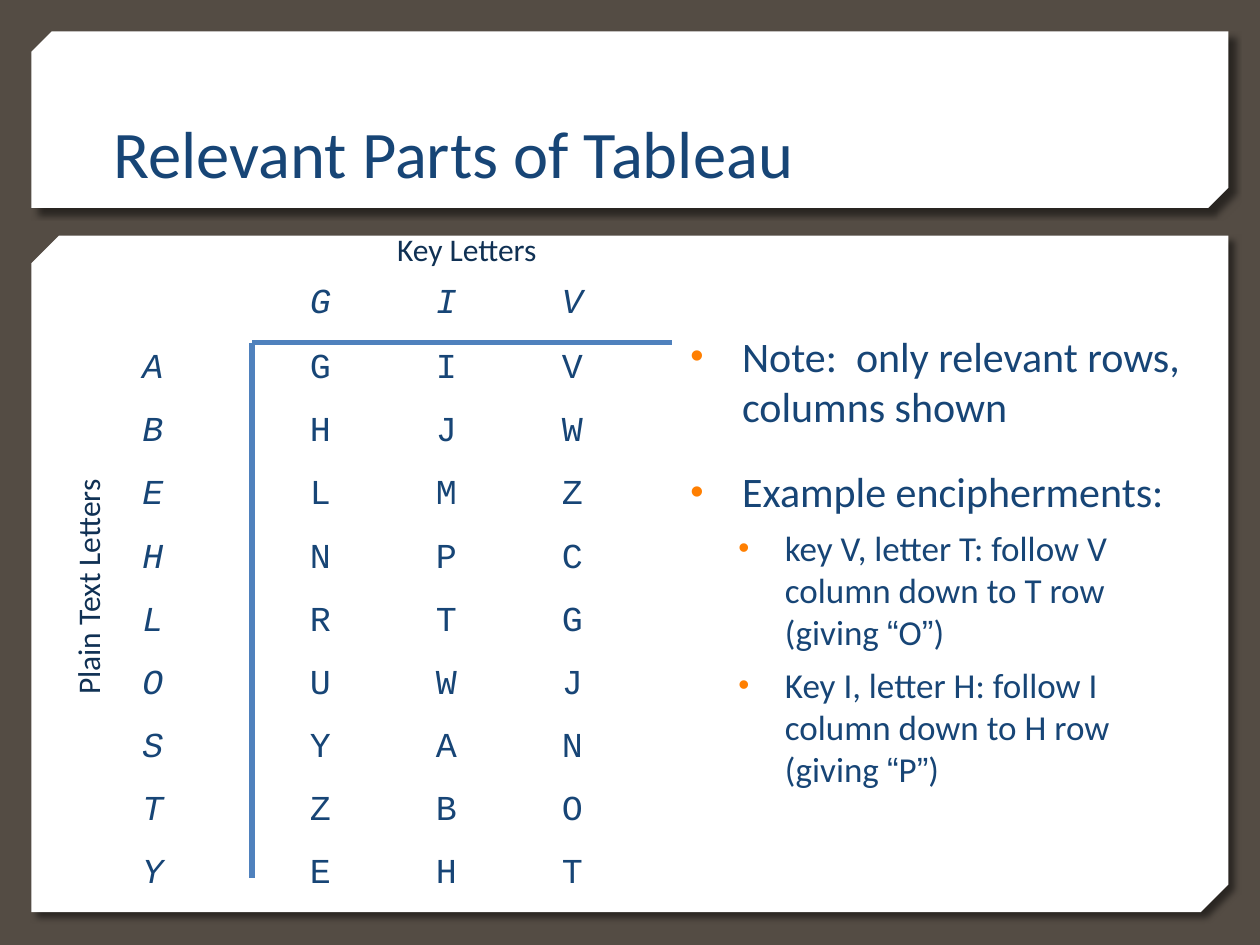
from lxml import etree
from pptx import Presentation, util as u
from pptx.dml.color import RGBColor
from pptx.enum import shapes, text
from pptx.oxml import parse_xml
from pptx.oxml.ns import nsdecls, qn

PX = 9144  # EMU per px, 100 px to the inch
NAVY, DARK_NAVY, ORANGE, BLUE = "174576", "103154", "FF7F01", "4F81BD"
hex_color = RGBColor.from_string

prs = Presentation()
prs.slide_width, prs.slide_height = 1000 * PX, 750 * PX
slide = prs.slides.add_slide(prs.slide_layouts[6])
slide.background.fill.solid()
slide.background.fill.fore_color.rgb = hex_color("544C44")


def add_frame(left, top, width, height, inset=5):
    box = slide.shapes.add_textbox(left * PX, top * PX, width * PX, height * PX)
    frame = box.text_frame
    frame.word_wrap = True
    frame.margin_left = frame.margin_right = inset * PX
    frame.margin_top = frame.margin_bottom = inset * PX
    return box, frame


def add_run(paragraph, words, size, color=NAVY, face="Calibri", italic=False):
    run = paragraph.add_run()
    run.text = words
    run.font.size = u.Pt(size)
    run.font.name = face
    run.font.italic = italic
    run.font.color.rgb = hex_color(color)


# White panels with two clipped corners
for top, bottom, cut in ((187, 724, 22), (25, 165, 16)):
    left, right = 25, 975
    outline = slide.shapes.build_freeform(left, bottom, scale=PX)
    outline.add_line_segments([
        (right - cut, bottom), (right, bottom - cut), (right, top),
        (left + cut, top), (left, top + cut),
    ])
    panel = outline.convert_to_shape()
    panel.fill.solid()
    panel.fill.fore_color.rgb = hex_color("FFFFFF")
    panel.line.fill.background()
    panel._element.spPr.append(parse_xml(
        f'<a:effectLst {nsdecls("a")}><a:outerShdw blurRad="{u.Pt(4)}" dist="{u.Pt(5)}" '
        'dir="2700000" algn="tl" rotWithShape="0"><a:srgbClr val="000000">'
        '<a:alpha val="50000"/></a:srgbClr></a:outerShdw></a:effectLst>'))

title = add_frame(85, 32, 829, 125)[1]
title.vertical_anchor = text.MSO_ANCHOR.BOTTOM
add_run(title.paragraphs[0], "Relevant Parts of Tableau", 38)

# Tableau: plain text letter, then its cipher letter under each key letter
key_letters = "GIV"
tableau_rows = {
    "A": "GIV", "B": "HJW", "E": "LMZ", "H": "NPC", "L": "RTG",
    "O": "UWJ", "S": "YAN", "T": "ZBO", "Y": "EHT",
}
tableau = add_frame(108, 220, 467, 483)[1]
for number, (plain, ciphers) in enumerate([("", key_letters), *tableau_rows.items()]):
    heading = number == 0
    row = tableau.paragraphs[0] if heading else tableau.add_paragraph()
    tabs = etree.SubElement(row._p.get_or_add_pPr(), qn("a:tabLst"))
    for column in range(len(key_letters)):
        etree.SubElement(tabs, qn("a:tab"), pos=str((133 + 100 * column) * PX), algn="l")
    row.line_spacing = 0.9 if heading else 0.67
    if not heading:
        row.space_before = u.Pt(20)
        add_run(row, plain, 20, face="Courier New", italic=True)
    add_run(row, "".join("\t" + letter for letter in ciphers), 20,
            face="Courier New", italic=heading)

# Notes: level and runs of each point, curly quotes set in Arial
points = [
    (0, ["Note:  only relevant rows, columns shown"]),
    (0, ["Example encipherments:"]),
    (1, ["key V, letter T: follow V column down to T row (giving ", "“", "O", "”", ")"]),
    (1, ["Key I, letter H: follow I column down to H row (giving ", "“", "P", "”", ")"]),
]
levels = [(41, 41, 24, 20), (75, 37, 20, 6)]  # margin, hanging, size, space before
notes = add_frame(548, 262, 400, 435, inset=0)[1]
for number, (level, parts) in enumerate(points):
    margin, hanging, size, space = levels[level]
    point = notes.add_paragraph() if number else notes.paragraphs[0]
    point.level = level
    props = point._p.get_or_add_pPr()
    props.set("marL", str(margin * PX))
    props.set("indent", str(-hanging * PX))
    bullet_color = etree.SubElement(props, qn("a:buClr"))
    etree.SubElement(bullet_color, qn("a:srgbClr"), val=ORANGE)
    etree.SubElement(props, qn("a:buSzPct"), val="90000")
    etree.SubElement(props, qn("a:buFont"), typeface="Arial")
    etree.SubElement(props, qn("a:buChar"), char="•")
    if number:
        point.space_before = u.Pt(space)
    for part in parts:
        add_run(point, part, size, face="Arial" if part in "“”" else "Calibri")

# Rules beside the plain text letters and below the key letters
for end_x, end_y in ((200, 697), (533, 272)):
    rule = slide.shapes.add_connector(
        shapes.MSO_CONNECTOR.STRAIGHT, 200 * PX, 272 * PX, end_x * PX, end_y * PX)
    rule.line.color.rgb = hex_color(BLUE)
    rule.line.width = u.Pt(3)
    etree.SubElement(rule._element.spPr, qn("a:effectLst"))

for caption, left, top, angle in (("Key Letters", 183, 178, 0),
                                  ("Plain Text Letters", -119, 447, 270)):
    box, frame = add_frame(left, top, 375, 38)
    box.rotation = angle
    frame.auto_size = text.MSO_AUTO_SIZE.SHAPE_TO_FIT_TEXT
    frame.paragraphs[0].alignment = text.PP_ALIGN.CENTER
    add_run(frame.paragraphs[0], caption, 18, DARK_NAVY)

prs.save("out.pptx")
